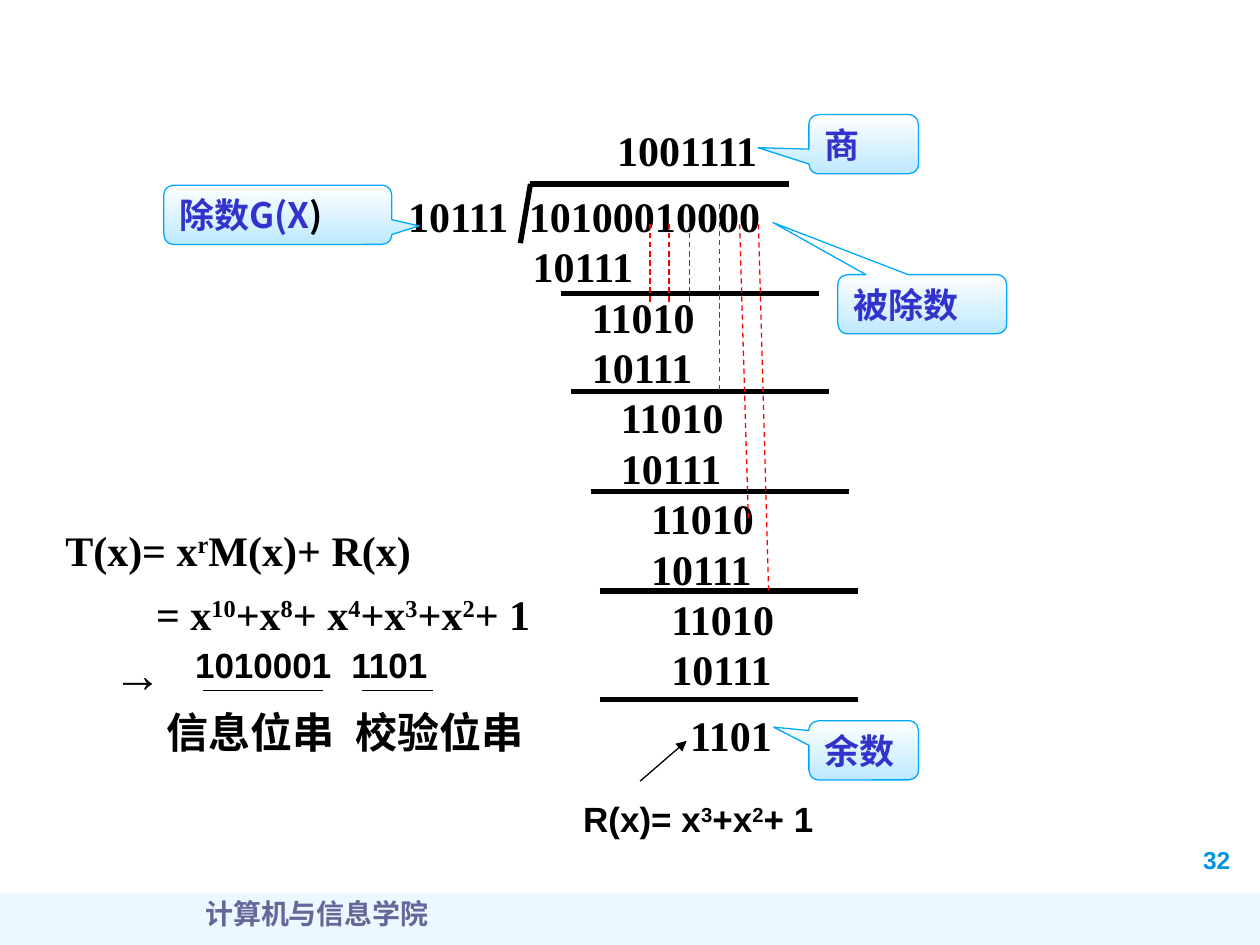
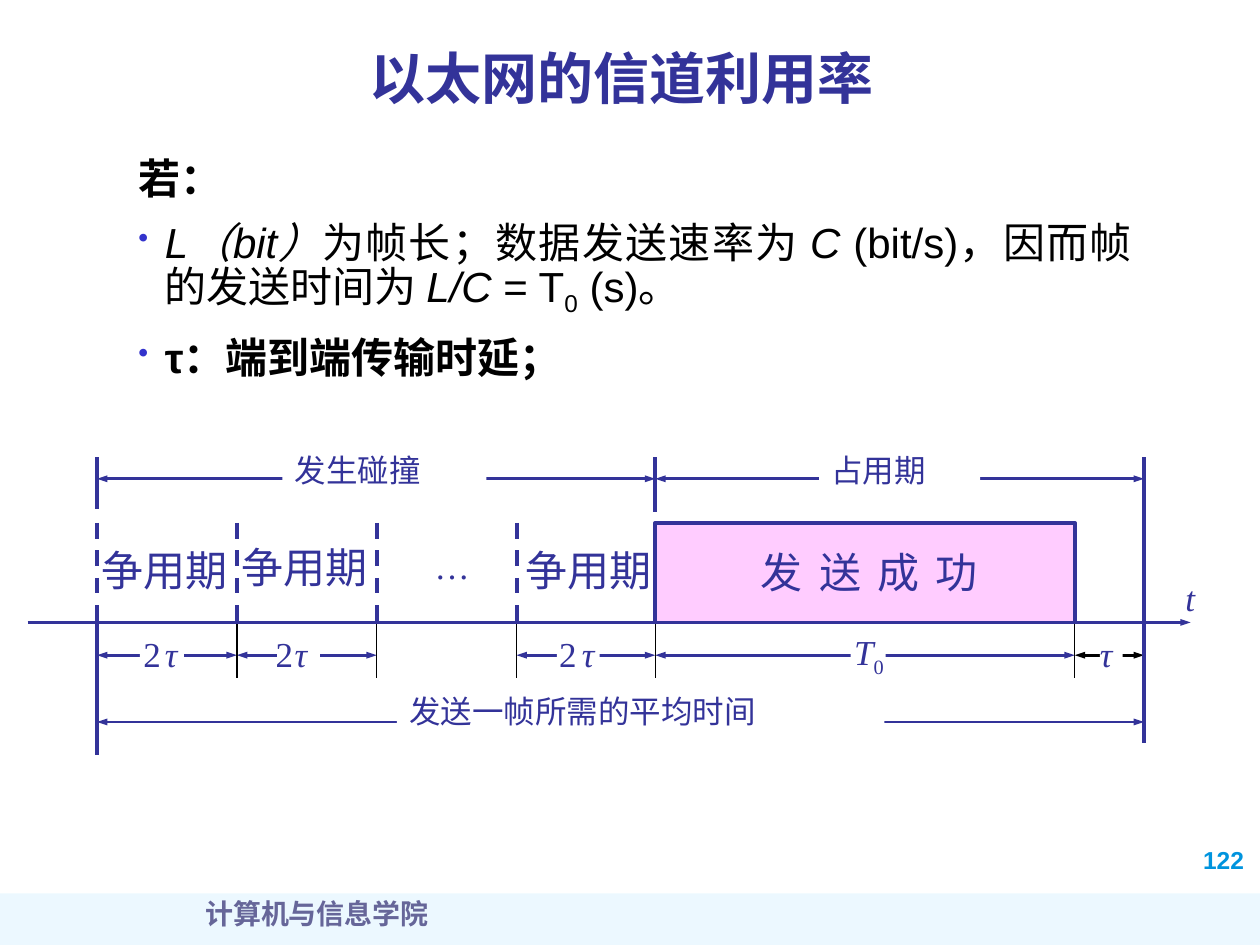
"""Build two lecture slides: CRC long division and Ethernet channel utilisation."""
import pptx
import pptx.dml.color
import pptx.enum.dml
import pptx.enum.shapes
import pptx.enum.text
import pptx.oxml.ns
import pptx.util
from lxml import etree

Inches = pptx.util.Inches
Pt = pptx.util.Pt
Align = pptx.enum.text.PP_ALIGN
Anchor = pptx.enum.text.MSO_ANCHOR
Shape = pptx.enum.shapes.MSO_SHAPE
qn = pptx.oxml.ns.qn

COLOURS = {
    "band": "A7E2FF", "number": "0094DE", "school": "666699", "ink": "000000",
    "navy": "333399", "label": "3333CC", "callout": "BDE9FF", "edge": "00A8FC",
    "drop": "FF0000", "frame": "FFCCFF", "white": "FFFFFF", "shade": "C0C0C0",
}
SERIF, SANS, HAN = "Times New Roman", "Arial", "Noto Sans CJK SC"
WORKING = {"size": 24, "name": SERIF, "bold": True}
SANS_BOLD = {"size": 20, "name": SANS, "bold": True}
DIAGRAM = {"size": 24, "name": SERIF, "colour": "navy"}
SYMBOL = {**DIAGRAM, "size": 20}
CAPTION = {**DIAGRAM, "size": 18}


def colour(name):
    """Return the named colour as an RGB value."""
    return pptx.dml.color.RGBColor.from_string(COLOURS[name])


def element(parent, tag, **attributes):
    """Append a drawing element with attributes to a parent."""
    return etree.SubElement(parent, qn(tag), attributes)


def powers(*parts):
    """Return spans in which every second part is a superscript."""
    return [(part, {"baseline": 30 * (index % 2)}) for index, part in enumerate(parts)]


class Deck:
    """Holds the shared style and the current slide."""

    def __init__(self):
        """Start an empty deck of 10 by 7.5 inches."""
        self.deck = pptx.Presentation()
        self.deck.slide_width, self.deck.slide_height = Inches(10), Inches(7.5)
        self.page = None

    def add_page(self, number):
        """Add a page with its band, number and school name."""
        self.page = self.deck.slides.add_slide(self.deck.slide_layouts[6])
        band = self.block(0, 7.09, 10, 0.41, "band")
        fill = band._element.spPr.find(qn("a:solidFill"))
        element(fill[0], "a:alpha", val="21000")
        self.text(9.45, 6.66, 0.59, 0.33, number, {**SANS_BOLD, "size": 14, "colour": "number"})
        self.text(0.27, 7.07, 4.49, 0.5, "计算机与信息学院",
                  {**WORKING, "size": 16, "colour": "school"}, Align.CENTER, Anchor.TOP, True)

    def format_span(self, span, style):
        """Apply a style dict to one run."""
        values = {"size": Pt(style["size"]), "name": style["name"],
                  "bold": style.get("bold", False), "italic": style.get("italic", False)}
        for key, value in values.items():
            setattr(span.font, key, value)
        span.font.color.rgb = colour(style.get("colour", "ink"))
        properties = span.font._element
        properties.find(qn("a:latin")).addnext(
            properties.makeelement(qn("a:ea"), {"typeface": HAN}))
        for key, factor in (("baseline", 1000), ("spc", 100)):
            if style.get(key):
                properties.set(key, str(style[key] * factor))
        if style.get("shadow"):
            effects = properties.makeelement(qn("a:effectLst"), {})
            shadow = element(effects, "a:outerShdw", dist="25400", dir="2700000")
            element(shadow, "a:srgbClr", val=COLOURS["shade"])
            properties.find(qn("a:solidFill")).addnext(effects)

    def fill_text(self, shape, paras, style, align=Align.LEFT, anchor=Anchor.MIDDLE,
                  exact=False, bullet=False):
        """Fill a shape with paragraphs of spans."""
        frame = shape.text_frame
        for key, value in {"word_wrap": True, "vertical_anchor": anchor}.items():
            setattr(frame, key, value)
        paras = paras if isinstance(paras, list) else [paras]
        for index, spans in enumerate(paras):
            para = frame.paragraphs[0] if index == 0 else frame.add_paragraph()
            if bullet:
                properties = para._p.get_or_add_pPr()
                properties.set("marL", str(Inches(0.21)))
                properties.set("indent", str(-Inches(0.21)))
                element(element(properties, "a:buClr"), "a:srgbClr", val=COLOURS["label"])
                element(properties, "a:buSzPct", val="70000")
                element(properties, "a:buChar", char="•")
            para.alignment = align
            if exact:
                para.line_spacing = Pt(style["size"] * 1.2)
            if bullet and index:
                para.space_before = Pt(8)
            for words, changes in ([(spans, {})] if isinstance(spans, str) else spans):
                span = para.add_run()
                span.text = words
                self.format_span(span, {**style, **changes})

    def text(self, left, top, width, height, paras, style, *options, **named):
        """Add a text box."""
        box = self.page.shapes.add_textbox(*map(Inches, (left, top, width, height)))
        self.fill_text(box, paras, style, *options, **named)

    def block(self, left, top, width, height, fill="white", kind=Shape.RECTANGLE):
        """Add a plain filled shape without outline."""
        shape = self.page.shapes.add_shape(kind, *map(Inches, (left, top, width, height)))
        shape.shadow.inherit = False
        shape.fill.solid()
        shape.fill.fore_color.rgb = colour(fill)
        shape.line.fill.background()
        return shape

    def caption(self, left, top, width, words):
        """Add a white label that interrupts a dimension line."""
        self.fill_text(self.block(left, top, width, 0.5), words, CAPTION,
                       anchor=Anchor.TOP, exact=True)

    def callout(self, left, top, width, tip, spans):
        """Add a gradient callout pointing at a tip."""
        shape = self.block(left, top, width, 0.47, kind=Shape.ROUNDED_RECTANGULAR_CALLOUT)
        for index, value in enumerate((*tip, 0.167)):
            shape.adjustments[index] = value
        shape.fill.gradient()
        shape.fill.gradient_angle = 270
        for stop, name in zip(shape.fill.gradient_stops, ("white", "callout")):
            stop.color.rgb = colour(name)
        self.outline(shape.line, "edge", 0.75)
        self.fill_text(shape, spans, {**SANS_BOLD, "name": HAN, "colour": "label"})

    def outline(self, line, name, width):
        """Set the colour and width of a line."""
        line.color.rgb = colour(name)
        line.width = Pt(width)

    def line(self, start, end, name="ink", width=0.75, dash=False, ends=(), size="med"):
        """Add a straight line, dashed or with arrowheads."""
        line = self.page.shapes.add_connector(
            pptx.enum.shapes.MSO_CONNECTOR.STRAIGHT, *map(Inches, (*start, *end)))
        self.outline(line.line, name, width)
        if dash:
            line.line.dash_style = pptx.enum.dml.MSO_LINE.DASH
        for place in ends:
            element(line._element.spPr.find(qn("a:ln")), f"a:{place}End",
                    type="triangle", w=size, len="med")
        element(line._element.spPr, "a:effectLst")

    def span_arrow(self, left, right, y, name="navy"):
        """Add a horizontal dimension line with two heads."""
        self.line((left, y), (right, y), name, 1.5, ends=("head", "tail"), size="sm")

    def open_outline(self, points, fill, name, width):
        """Add an open filled outline through the points."""
        points = [tuple(map(Inches, point)) for point in points]
        builder = self.page.shapes.build_freeform(*points[0], scale=1.0)
        builder.add_line_segments(points[1:], close=False)
        shape = builder.convert_to_shape()
        shape.shadow.inherit = False
        shape.fill.solid()
        shape.fill.fore_color.rgb = colour(fill)
        self.outline(shape.line, name, width)


def division_page(deck):
    """Draw the long division and the resulting code word."""
    deck.add_page("32")
    deck.text(0.42, 4.11, 3.1, 0.5, [powers("T(x)= x", "r", "M(x)+ R(x)")], WORKING)
    deck.text(1.14, 4.62, 3.4, 0.5,
              [powers("= x", "10", "+x", "8", "+ x", "4", "+x", "3", "+x", "2", "+ 1")], WORKING)
    deck.text(0.8, 5.05, 0.7, 0.58, "→", {**SANS_BOLD, "size": 28})
    for left, bits in ((1.45, "1010001"), (2.69, "1101")):
        deck.text(left, 5.06, 1.3, 0.43, bits, SANS_BOLD)
    for left, right in ((1.61, 2.56), (2.87, 3.44)):
        deck.line((left, 5.48), (right, 5.48))
    for left, name in ((1.22, "信息位串"), (2.72, "校验位串")):
        deck.text(left, 5.56, 1.63, 0.5, name, WORKING)

    numbers = ((4.8, 0.94, "1001111"), (3.14, 1.46, "10111"), (4.1, 1.46, "10100010000"),
               (4.13, 1.86, "10111"), (5.38, 5.58, "1101"))
    for left, top, digits in numbers:
        deck.text(left, top, 2.1, 0.5, digits, WORKING)
    for step, left in enumerate((4.6, 4.83, 5.07, 5.23)):
        deck.text(left, 2.26 + 0.8 * step, 1.2, 0.9, ["11010", "10111"], WORKING, exact=True)
    rules = ((4.21, 1.46), (4.45, 2.33), (4.53, 3.11), (4.69, 3.9), (4.76, 4.69), (4.76, 5.55))
    for left, y in rules:
        deck.line((left, y), (left + 2.05, y), width=3)
    deck.line((4.21, 1.46), (4.13, 1.93), width=3)
    drops = ((5.16, 1.78, 5.16, 2.41), (5.31, 1.78, 5.31, 2.41), (5.47, 1.78, 5.47, 2.41),
             (5.71, 1.62, 5.71, 3.12), (5.87, 1.78, 5.94, 4.14), (6.02, 1.78, 6.1, 4.69))
    for drop in drops:
        deck.line(drop[:2], drop[2:], "drop", dash=True)
    deck.line((5.08, 6.2), (5.45, 5.88), ends=("tail",))
    deck.text(4.53, 6.25, 2.84, 0.5, [powers("R(x)= x", "3", "+x", "2", "+ 1")], SANS_BOLD)

    deck.callout(6.42, 0.91, 0.87, (-0.965, 0.059), "商")
    deck.callout(1.3, 1.47, 1.81, (0.619, 0.187), [[("除数G(X", {}), (")", {"colour": "ink"})]])
    deck.callout(6.42, 5.72, 0.87, (-0.821, -0.39), "余数")
    deck.callout(6.65, 2.18, 1.34, (-0.884, -1.379), "被除数")


def utilisation_page(deck):
    """Draw the timeline of sending one Ethernet frame."""
    deck.add_page("122")
    deck.text(1.06, 0.24, 7.75, 0.75, "以太网的信道利用率",
              {**WORKING, "size": 32, "colour": "navy", "shadow": True}, Align.CENTER)
    italic = {"italic": True}
    frame_time = [("L（bit）", italic), ("为帧长；数据发送速率为 ", {}), ("C", italic),
                  (" (bit/s)，因而帧的发送时间为 ", {}), ("L/C ", italic), ("= T", {}),
                  ("0", {"baseline": -25}), (" (s)。", {})]
    delay = [("τ：端到端传输时延；", {"bold": True})]
    deck.text(1, 1.67, 8.08, 1.88, [frame_time, delay], {"size": 24, "name": SANS},
              Align.JUSTIFY, Anchor.TOP, True, True)
    deck.text(1, 1.16, 1.09, 0.5, "若：", {**SANS_BOLD, "size": 24})

    start, second, third, last, sending, sent, finish = 0.77, 1.88, 2.99, 4.1, 5.2, 8.53, 9.08
    axis = 4.94
    spans = ((start, finish, 5.73), (start, sending, 3.8), (sending, finish, 3.8),
             (sending, sent, 5.2), (last, sending, 5.2), (second, third, 5.2),
             (start, second, 5.2))
    for span in spans:
        deck.span_arrow(*span)
    deck.span_arrow(sent, finish, 5.2, "ink")
    masks = ((8.73, 5.09, 0.18, 0.23), (4.42, 5.08, 0.34, 0.28), (2.2, 5, 0.34, 0.25),
             (1.11, 4.95, 0.35, 0.36), (6.75, 5.03, 0.28, 0.35))
    for mask in masks:
        deck.block(*mask)

    deck.open_outline([(sending, axis), (sending, 4.15), (sent, 4.15), (sent, axis)],
                      "frame", "navy", 2.25)
    deck.text(5.94, 4.29, 2.12, 0.5, "发 送 成 功", {**DIAGRAM, "spc": 2})
    for left, top in ((0.71, 4.27), (1.82, 4.25), (4.07, 4.27)):
        deck.text(left, top, 1.28, 0.5, "争用期", DIAGRAM)
    for x in (start, second, third, last):
        deck.line((x, 4.15), (x, axis), "navy", 2.25, dash=True)
    for x in (second, third, last, sending, sent):
        deck.line((x, axis), (x, 5.38))
    posts = ((start, 3.63, 4.04), (start, axis, 5.99), (sending, 3.63, 4.06), (finish, 3.63, 5.9))
    for x, top, bottom in posts:
        deck.line((x, top), (x, bottom), "navy", 2.25)

    for two, tau in ((1.04, 1.21), (2.09, 2.24), (4.34, 4.52)):
        deck.text(two, 4.97, 0.4, 0.43, "2", SYMBOL)
        deck.text(tau, 4.97, 0.48, 0.43, "τ", {**SYMBOL, **italic})
    deck.text(6.68, 4.98, 0.55, 0.43, [[("T", italic), ("0", {"baseline": -25})]], SYMBOL)
    deck.text(8.53, 4.97, 0.5, 0.43, "τ", {**SYMBOL, **italic}, Align.CENTER)
    deck.text(9.31, 4.53, 0.4, 0.43, "t", {**SYMBOL, **italic})
    deck.text(3.35, 4.27, 0.55, 0.43, "…", SYMBOL)
    deck.caption(6.5, 3.53, 1.28, "占用期")
    deck.caption(2.24, 3.53, 1.62, "发生碰撞")
    deck.caption(3.15, 5.44, 3.87, "发送一帧所需的平均时间")
    deck.line((0.22, axis), (9.45, axis), "navy", 1.5, ends=("tail",), size="sm")


def main():
    """Build and save the deck."""
    deck = Deck()
    division_page(deck)
    utilisation_page(deck)
    deck.deck.save("out.pptx")


if __name__ == "__main__":
    main()
